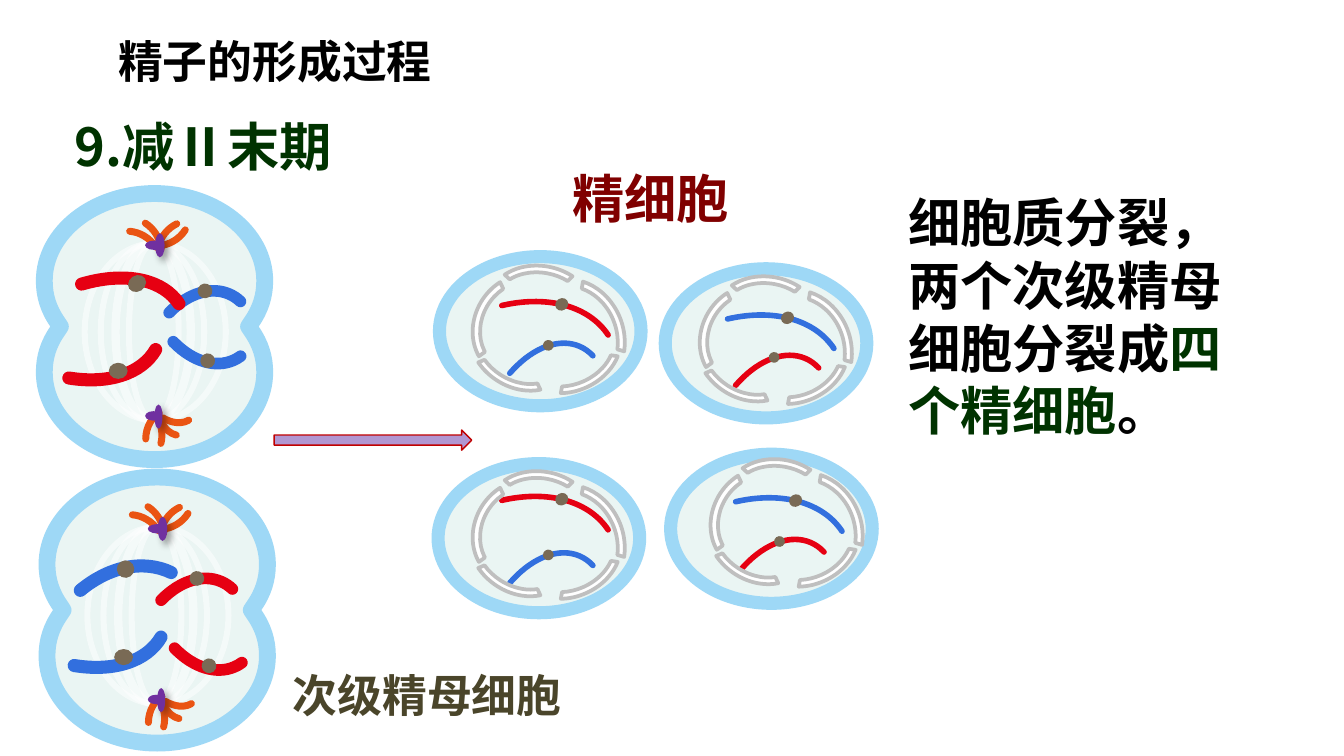
from lxml.etree import SubElement
from pptx import Presentation
from pptx.dml.color import RGBColor
from pptx.enum.shapes import MSO_SHAPE
from pptx.enum.text import MSO_ANCHOR, MSO_AUTO_SIZE, PP_ALIGN
from pptx.oxml.ns import qn
from pptx.util import Cm, Pt

FONT = "Noto Sans CJK SC"
COLORS = {
    "black": "000000", "green": "003300", "olive": "4A452A", "maroon": "800000",
    "arrow": "B197D2", "arrow edge": "C00000", "cytoplasm": "EAF5F3",
    "membrane": "9ED8F6", "white": "FFFFFF", "aster": "EA5413",
    "centriole": "7030A0", "red": "E60012", "blue": "326FDE",
    "centromere": "796A55", "envelope": "BFBFBF",
}

# Positions and sizes are in inches: left, top, width, height
TITLE = ((0.78, 0.2, 2.96, 0.5), 24, [("精子的形成过程", "black")])
LABELS = [
    ((0.46, 0.8, 2.34, 0.57), 28, [("9.减Ⅱ末期", "green")]),
    ((2.08, 4.92, 2.56, 0.5), 24, [("次级精母细胞", "olive")]),
    ((4.16, 1.19, 1.55, 0.57), 28, [("精细胞", "maroon")]),
]
EXPLANATION = ((6.66, 1.37, 2.55, 1.98), 28, [
    ("细胞质分裂，两个次级精母细胞分裂成", "black"), ("四个精细胞", "green"), ("。", "black")])
ARROW = (2.04, 3.2, 1.47, 0.15)

# Dividing cells: one quarter of the outline, from the top to the waist, about the centre
CENTRE = (1.15, 2.43)
QUARTER = [(0, -0.99), (0.45, -0.99), (0.82, -0.7), (0.82, -0.34),
           (0.82, -0.23), (0.79, -0.13), (0.72, -0.03), (0.7, 0)]
SEGMENTS = "CCLLCC" * 2  # C is a curve of three points, L a line
SPINDLE = [(0.63, 1.05, 3.25), (0.75, 0.77, 3.25), (0.86, 0.56, 4.5), (0.96, 0.37, 3.25)]
ASTER_SWEEP = (165.26, 196.34)
# Each pole: aster rays (place, rotation, flip), then centrioles (place, rotation)
POLES = [
    ([((1.09, 2.69, 0.33, 0.49), 316.5, "HV"), ((1.17, 2.75, 0.33, 0.49), 0, "HV"),
      ((0.7, 2.98, 0.52, 0.47), 52.4, ""), ((1.09, 3.03, 0.47, 0.52), 332.7, "H")],
     [((1.09, 3.07, 0.18, 0.06), 90), ((1.08, 3.06, 0.12, 0.07), 180)]),
    ([((0.68, 1.72, 0.52, 0.52), 0, ""), ((0.68, 1.62, 0.52, 0.52), 27.3, ""),
      ((1.17, 1.64, 0.52, 0.52), 339.4, "H"), ((0.9, 1.31, 0.52, 0.52), 0, "V")],
     [((1.1, 1.79, 0.18, 0.07), 90), ((1.08, 1.79, 0.14, 0.07), 180)]),
]
# Chromosome: arc place, rotation, flip, sweep, colour, width; centromere place, rotation
UPPER_SHORT, LOWER_SHORT = (185.1, 6.01), (185.1, 3.79)
UPPER_LONG, LOWER_LONG = (185.4, 0), (187.48, 215.89)
DIVIDING_CELLS = [
    ((0, 0), [
        ((0.89, 2.32, 1.17, 0.81), 293.1, "", UPPER_SHORT, "blue", 6.25, (1.47, 2.11, 0.11, 0.11), 322.7),
        ((0.92, 1.74, 1.17, 0.81), 66.9, "V", LOWER_SHORT, "blue", 6.25, (1.49, 2.63, 0.11, 0.11), 322.7),
        ((-0.4, 2.2, 1.89, 1.17), 326.3, "", UPPER_LONG, "red", 7, (0.95, 2.05, 0.14, 0.12), 326.3),
        ((-0.56, 1.56, 1.84, 1.17), 29.6, "V", LOWER_LONG, "red", 7, (0.81, 2.7, 0.14, 0.12), 0)]),
    ((0.02, 2.11), [
        ((0.04, 4.39, 1.72, 1.29), 295.8, "", UPPER_LONG, "blue", 7, (0.87, 4.17, 0.13, 0.13), 295.8),
        ((-0.52, 3.7, 1.84, 1.17), 29.6, "V", LOWER_LONG, "blue", 7, (0.85, 4.83, 0.14, 0.12), 0),
        ((0.83, 4.46, 1.17, 0.81), 293.1, "", UPPER_SHORT, "red", 6.25, (1.41, 4.25, 0.11, 0.11), 322.7),
        ((0.93, 4.02, 1.17, 0.81), 66.9, "V", LOWER_SHORT, "red", 6.25, (1.5, 4.9, 0.11, 0.11), 322.7)]),
]

# Sperm cells: parts of the first cell, then how far each part moves in every cell
CELL = (3.27, 1.91, 1.5, 1.11)
LONG = ((2.62, 2.36, 2.08, 1.42), 326.3, UPPER_LONG, (4.13, 2.22, 0.1, 0.09), 326.3)
SHORT = ((3.33, 2.78, 1.41, 0.89), 293.1, UPPER_SHORT, (4.04, 2.53, 0.08, 0.08), 322.7)
ENVELOPE = [
    ((3.48, 2.08, 0.79, 0.69), 299.9, (122.44, 182.85, 0.08)),
    ((3.47, 2.26, 0.79, 0.62), 212.8, (127.16, 182.85, 0.08)),
    ((3.83, 2.13, 0.87, 0.75), 68.1, (127.16, 184.84, 0.07)),
    ((3.84, 2.29, 0.79, 0.62), 156.1, (127.16, 182.85, 0.08)),
    ((3.63, 1.98, 0.79, 0.62), 10.4, (127.16, 182.85, 0.08)),
]
# Shifts of cell, long chromosome, short chromosome and envelope; long and short colours
SPERM_CELLS = [
    ((0, 0), (0, 0), (0, 0), (0, 0), "red", "blue"),
    ((1.68, 0.09), (1.68, 0.1), (1.68, 0.09), (1.69, 0.08), "blue", "red"),
    ((-0.01, 1.54), (0, 1.45), (0, 1.56), (0, 1.53), "red", "blue"),
    ((1.72, 1.47), (1.74, 1.46), (1.72, 1.46), (1.77, 1.44), "blue", "red"),
]


def inches(value):
    return Cm(value * 2.54)


def color(name):
    return RGBColor.from_string(COLORS[name])


def moved(place, shift):
    return (place[0] + shift[0], place[1] + shift[1], *place[2:])


def paint(shape, fill=None, line=None, width=1):
    shape.shadow.inherit = False
    if fill:
        shape.fill.solid()
        shape.fill.fore_color.rgb = color(fill)
    else:
        shape.fill.background()
    if line:
        shape.line.color.rgb = color(line)
        shape.line.width = Pt(width)
    else:
        shape.line.fill.background()


def draw(shapes, kind, place, rotation=0, flip="", adjust=(), **look):
    """Add a preset shape; adjust holds its adjustment values in order."""
    shape = shapes.add_shape(kind, *map(inches, place))
    shape.rotation = rotation
    for axis in flip:
        shape._element.spPr.find(qn("a:xfrm")).set("flip" + axis, "1")
    for index, value in enumerate(adjust):
        shape.adjustments[index] = value
    paint(shape, **look)
    if kind == MSO_SHAPE.ARC:
        shape._element.spPr.find(qn("a:ln")).set("cap", "rnd")
    return shape


def cast_shadow(shape):
    effects = shape._element.spPr.find(qn("a:effectLst"))
    shadow = SubElement(effects, qn("a:outerShdw"), blurRad=str(Pt(4)), dist=str(Pt(3)),
                        dir="2700000", algn="tl", rotWithShape="0")
    black = SubElement(shadow, qn("a:srgbClr"), val=COLORS["black"])
    SubElement(black, qn("a:alpha"), val="40000")


def write(box, place, size, pieces):
    box.left, box.top, box.width, box.height = map(inches, place)
    frame = box.text_frame
    frame.word_wrap = True
    frame.auto_size = MSO_AUTO_SIZE.NONE
    frame.vertical_anchor = MSO_ANCHOR.TOP
    frame.margin_left = frame.margin_right = Cm(0.25)
    frame.margin_top = frame.margin_bottom = Cm(0.12)
    paragraph = frame.paragraphs[0]
    paragraph.alignment = PP_ALIGN.LEFT
    paragraph.line_spacing = Pt(size * 1.2)
    for words, shade in pieces:
        run = paragraph.add_run()
        run.text = words
        run.font.size, run.font.bold, run.font.name = Pt(size), True, FONT
        run.font.color.rgb = color(shade)
        SubElement(run.font._element, qn("a:ea"), typeface=FONT)


def draw_outline(shapes, shift):
    """Mirror the quarter downwards and to the left, then bend its segments into curves."""
    right = QUARTER + [(x, -y) for x, y in reversed(QUARTER[:-1])]
    outline = right + [(-x, y) for x, y in reversed(right[:-1])]
    centre = moved(CENTRE, shift)
    points = [tuple(map(inches, moved(point, centre))) for point in outline]
    builder = shapes.build_freeform(*points[0], scale=1.0)
    builder.add_line_segments(points[1:], close=True)
    cell = builder.convert_to_shape()
    paint(cell, "cytoplasm", "membrane", 9)
    lines = iter(list(cell._element.iter(qn("a:lnTo"))))
    for segment in SEGMENTS:
        line = next(lines)
        if segment == "C":
            line.tag = qn("a:cubicBezTo")
            for _ in range(2):
                follower = next(lines)
                line.append(follower[0])
                follower.getparent().remove(follower)


def draw_chromosome(shapes, arc, turn, flip, sweep, shade, width, centromere, centromere_turn):
    draw(shapes, MSO_SHAPE.ARC, arc, turn, flip, sweep, line=shade, width=width)
    draw(shapes, MSO_SHAPE.OVAL, centromere, centromere_turn, fill="centromere")


def draw_dividing_cell(shapes, shift, chromosomes):
    draw_outline(shapes, shift)
    for left, wide, weight in SPINDLE:
        fibre = draw(shapes, MSO_SHAPE.OVAL, moved((left, 1.81, wide, 1.32), shift),
                     line="white", width=weight)
        SubElement(next(fibre._element.spPr.iter(qn("a:srgbClr"))), qn("a:alpha"), val="50000")
    for rays, centrioles in POLES:
        for place, turn, flip in rays:
            draw(shapes, MSO_SHAPE.ARC, moved(place, shift), turn, flip, ASTER_SWEEP,
                 line="aster", width=3.75)
        upright, level = [draw(shapes, MSO_SHAPE.OVAL, moved(place, shift), turn, "H", fill="centriole")
                          for place, turn in centrioles]
        cast_shadow(upright)
    for chromosome in chromosomes:
        draw_chromosome(shapes, *chromosome)


def draw_sperm_cell(shapes, cell_shift, long_shift, short_shift, envelope_shift, *shades):
    draw(shapes, MSO_SHAPE.OVAL, moved(CELL, cell_shift), fill="cytoplasm", line="membrane", width=7)
    for chromosome, shift, shade in zip((LONG, SHORT), (long_shift, short_shift), shades):
        arc, turn, sweep, centromere, centromere_turn = chromosome
        draw_chromosome(shapes, moved(arc, shift), turn, "", sweep, shade, 3,
                        moved(centromere, shift), centromere_turn)
    for place, turn, adjust in ENVELOPE:
        draw(shapes, MSO_SHAPE.BLOCK_ARC, moved(place, envelope_shift), turn, "", adjust,
             fill="white", line="envelope", width=2)


def main():
    deck = Presentation()
    deck.slide_width, deck.slide_height = Cm(25.4), Cm(14.29)
    slide = deck.slides.add_slide(deck.slide_layouts[5])
    write(slide.shapes.title, *TITLE)
    for label in LABELS:
        write(slide.shapes.add_textbox(0, 0, 0, 0), *label)
    draw(slide.shapes, MSO_SHAPE.RIGHT_ARROW, ARROW, fill="arrow", line="arrow edge", width=0.75)
    for cell in DIVIDING_CELLS:
        draw_dividing_cell(slide.shapes.add_group_shape().shapes, *cell)
    for cell in SPERM_CELLS:
        draw_sperm_cell(slide.shapes.add_group_shape().shapes, *cell)
    write(slide.shapes.add_textbox(0, 0, 0, 0), *EXPLANATION)
    deck.save("out.pptx")


if __name__ == "__main__":
    main()
